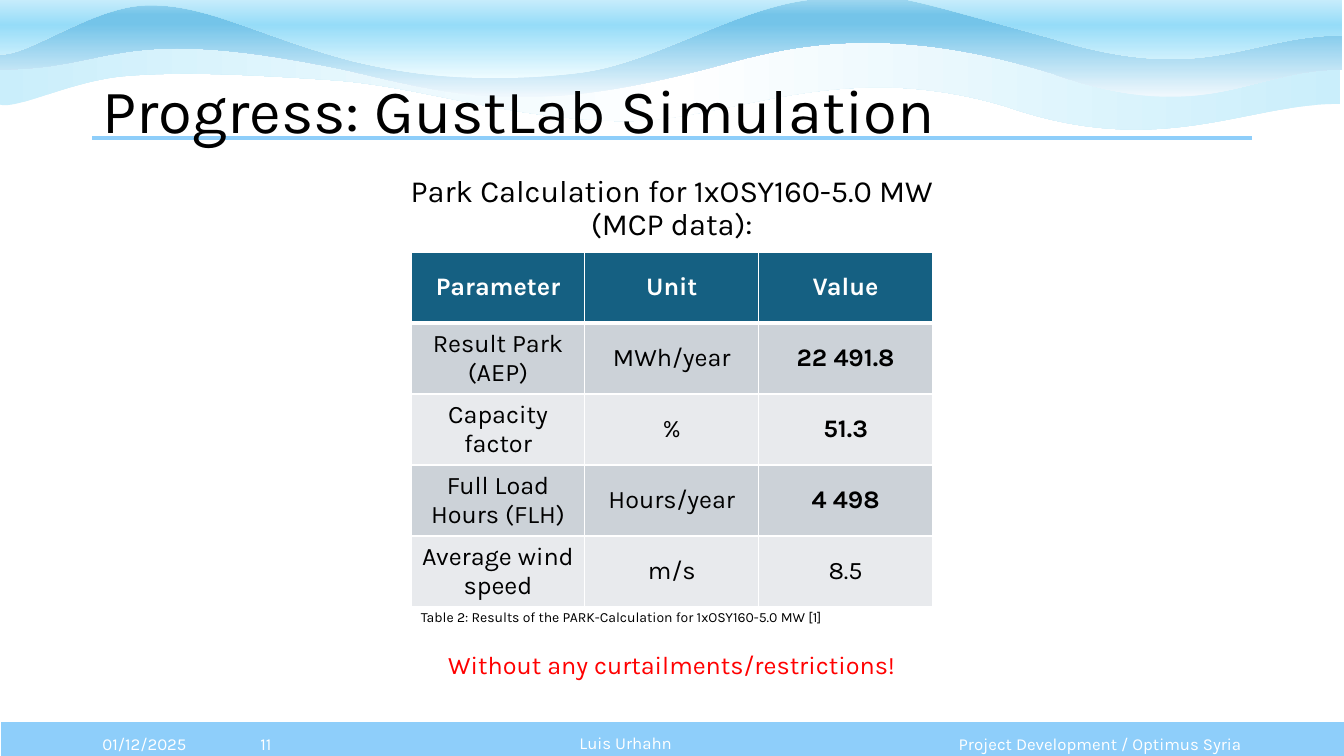
from dataclasses import dataclass

from lxml import etree
from pptx import Presentation
from pptx import util as u
from pptx.dml.color import RGBColor
from pptx.enum import shapes, text
from pptx.oxml import ns

FONT = "Karla"
WHITE = RGBColor(0xFF, 0xFF, 0xFF)
BLACK = RGBColor(0x00, 0x00, 0x00)
RED = RGBColor(0xFF, 0x00, 0x00)
SKY = RGBColor(0x8E, 0xCE, 0xFA)
HEADER_BLUE = RGBColor(0x15, 0x60, 0x82)
ROW_DARK = RGBColor(0xCC, 0xD2, 0xD8)
ROW_LIGHT = RGBColor(0xE8, 0xEA, 0xED)

LEFT, CENTER, RIGHT = text.PP_ALIGN.LEFT, text.PP_ALIGN.CENTER, text.PP_ALIGN.RIGHT
TOP, MIDDLE = text.MSO_ANCHOR.TOP, text.MSO_ANCHOR.MIDDLE


@dataclass(frozen=True)
class Wave:
    """A band from a flat top edge to a chain of Bezier curves, in cm."""
    top: float
    bottom: float
    curve: list[tuple[float, float]]
    stops: list[tuple[int, str]]
    angle: int


@dataclass(frozen=True)
class Label:
    content: str
    left: float
    top: float
    width: float
    height: float
    size: int
    color: RGBColor = WHITE
    align: text.PP_ALIGN = CENTER
    anchor: text.MSO_ANCHOR = MIDDLE
    line_spacing: float = 1.0


WAVES = [
    Wave(0.76, 3.25, [
        (33.78, 2.62), (31.42, 2.59), (29.26, 4.04), (25.37, 2.69),
        (21.01, 1.37), (18.31, 3.15), (15.49, 3.05),
        (12.67, 2.95), (10.69, 2.21), (8.51, 2.03),
        (6.32, 1.88), (4.65, 1.8), (3.23, 1.91),
        (1.8, 2.01), (0.36, 2.82), (-0.05, 2.62),
    ], [(0, "CAEEFB"), (50, "FFFFFF"), (100, "CAEEFB")], 0),
    Wave(-0.05, 2.44, [
        (33.83, 1.75), (31.47, 1.75), (30.38, 3.23), (26.52, 1.85),
        (22.12, 0.48), (19.63, 1.24), (17.93, 1.7),
        (13.41, 2.9), (11.66, 2.46), (8.79, 1.78),
        (2.87, 0.53), (2.92, 1.75), (0, 1.75),
    ], [(0, "F0F8FD"), (74, "74C4E9"), (83, "74C4E9"), (100, "A2D8F0")], 90),
    Wave(-0.71, 1.98, [
        (33.83, 0.89), (31.47, 0.89), (30.38, 2.18), (26.52, 0.97),
        (22.15, -0.23), (22.63, -0.18), (20.65, -0.03),
        (18.67, 0.1), (16.59, 1.57), (14.63, 1.83),
        (12.65, 2.08), (10.77, 2.01), (8.81, 1.52),
        (6.55, 0.91), (5.26, 0.13), (3.81, 0.13),
        (2.34, 0.1), (0.56, 1.55), (-0.08, 1.35),
    ], [(0, "EFFCFF"), (50, "96DCF8"), (100, "FFFFFF")], 90),
]

LABELS = [
    Label("01/12/2025", 2.33, 18.24, 3.1, 1.02, 12, align=LEFT),
    Label("Project Development / Optimus Syria", 23.54, 18.24, 8, 1.02, 12, align=RIGHT),
    Label("11", 5.41, 18.24, 2.59, 1.02, 12),
    Label("Luis Urhahn", 8, 18.24, 15.54, 1.02, 12, line_spacing=0.9),
    Label("Park Calculation for 1xOSY160-5.0 MW (MCP data):",
          9.63, 4.31, 14.6, 12.47, 22, BLACK, anchor=TOP, line_spacing=0.9),
    Label("Without any curtailments/restrictions!",
          8.43, 16.24, 17, 1.02, 18, RED, anchor=TOP),
    Label("Table 2: Results of the PARK-Calculation for 1xOSY160-5.0 MW [1]",
          10.36, 15.21, 10.95, 0.69, 10, BLACK, LEFT, TOP),
]

RESULTS = [
    ("Parameter", "Unit", "Value"),
    ("Result Park (AEP)", "MWh/year", "22 491.8"),
    ("Capacity factor", "%", "51.3"),
    ("Full Load Hours (FLH)", "Hours/year", "4 498"),
    ("Average wind speed", "m/s", "8.5"),
]
BOLD_VALUES = {"22 491.8", "51.3", "4 498"}


def format_text(frame, content: str, size: int, color: RGBColor, align: text.PP_ALIGN,
                line_spacing: float = 1.0, bold: bool = False) -> None:
    frame.text = content
    paragraph = frame.paragraphs[0]
    paragraph.alignment = align
    paragraph.line_spacing = line_spacing
    paragraph.space_before = u.Pt(0)
    font = paragraph.runs[0].font
    font.name, font.size, font.bold = FONT, u.Pt(size), bold
    font.color.rgb = color


def draw_wave(slide, wave: Wave) -> None:
    start, end = wave.curve[0], wave.curve[-1]
    # Bounding box of the band
    builder = slide.shapes.build_freeform(u.Cm(start[0]), u.Cm(wave.top))
    box = [(start[0], wave.bottom), (end[0], wave.bottom), (end[0], wave.top)]
    builder.add_line_segments([(u.Cm(x), u.Cm(y)) for x, y in box], close=True)
    band = builder.convert_to_shape()
    band.shadow.inherit = False
    band.line.fill.background()

    # Curved outline inside that box
    outline = band.element.spPr.find(".//" + ns.qn("a:path"))
    for segment in list(outline):
        outline.remove(segment)

    def add_segment(tag: str, points: list[tuple[float, float]]) -> None:
        segment = etree.SubElement(outline, ns.qn(tag))
        for x, y in points:
            etree.SubElement(segment, ns.qn("a:pt"),
                             x=str(u.Cm(x) - band.left), y=str(u.Cm(y) - band.top))

    add_segment("a:moveTo", [start])
    for i in range(1, len(wave.curve), 3):
        add_segment("a:cubicBezTo", wave.curve[i:i + 3])
    for x in (end[0], start[0]):
        add_segment("a:lnTo", [(x, wave.top)])
    add_segment("a:close", [])

    # Gradient stops
    band.fill.gradient()
    band.fill.gradient_angle = wave.angle
    stop_list = band.element.spPr.find(".//" + ns.qn("a:gsLst"))
    for preset in list(stop_list):
        stop_list.remove(preset)
    for position, color in wave.stops:
        stop = etree.SubElement(stop_list, ns.qn("a:gs"), pos=str(position * 1000))
        etree.SubElement(stop, ns.qn("a:srgbClr"), val=color)


def draw_label(slide, label: Label) -> None:
    box = slide.shapes.add_textbox(u.Cm(label.left), u.Cm(label.top),
                                   u.Cm(label.width), u.Cm(label.height))
    frame = box.text_frame
    frame.word_wrap = True
    frame.vertical_anchor = label.anchor
    format_text(frame, label.content, label.size, label.color, label.align, label.line_spacing)


def set_borders(cell, top: int, bottom: int) -> None:
    properties = cell._tc.get_or_add_tcPr()
    for side, width in (("L", 1), ("R", 1), ("T", top), ("B", bottom)):
        border = etree.SubElement(properties, ns.qn(f"a:ln{side}"), w=str(u.Pt(width)))
        fill = etree.SubElement(border, ns.qn("a:solidFill"))
        etree.SubElement(fill, ns.qn("a:srgbClr"), val=str(WHITE))


def draw_results(slide) -> None:
    table = slide.shapes.add_table(len(RESULTS), len(RESULTS[0]), u.Cm(10.36), u.Cm(6.35),
                                   u.Cm(13.14), u.Cm(8.95)).table
    for r, row in enumerate(RESULTS):
        header = r == 0
        fill = HEADER_BLUE if header else ROW_DARK if r % 2 else ROW_LIGHT
        for c, content in enumerate(row):
            cell = table.cell(r, c)
            cell.vertical_anchor = MIDDLE
            set_borders(cell, top=3 if r == 1 else 1, bottom=3 if header else 1)
            cell.fill.solid()
            cell.fill.fore_color.rgb = fill
            format_text(cell.text_frame, content, 18, WHITE if header else BLACK, CENTER,
                        bold=header or content in BOLD_VALUES)


def main() -> None:
    deck = Presentation()
    deck.slide_width, deck.slide_height = u.Cm(33.87), u.Cm(19.05)
    slide = deck.slides.add_slide(deck.slide_layouts[5])

    # Footer bar and waves
    footer = slide.shapes.add_shape(shapes.MSO_SHAPE.RECTANGLE,
                                    u.Cm(0), u.Cm(18.16), u.Cm(33.91), u.Cm(1.02))
    footer.shadow.inherit = False
    footer.fill.solid()
    footer.fill.fore_color.rgb = SKY
    footer.line.color.rgb = WHITE
    footer.line.width = u.Pt(1.5)
    for wave in WAVES:
        draw_wave(slide, wave)

    # Title rule
    rule = slide.shapes.add_connector(shapes.MSO_CONNECTOR.STRAIGHT,
                                      u.Cm(2.33), u.Cm(3.48), u.Cm(31.55), u.Cm(3.48))
    rule.line.color.rgb = SKY
    rule.line.width = u.Pt(3)
    etree.SubElement(rule.element.spPr, ns.qn("a:effectLst"))

    # Title, brought in front of the waves
    title = slide.shapes.title
    title.left, title.top, title.width, title.height = map(u.Cm, (2.33, 1.02, 29.21, 3.68))
    title.text_frame.vertical_anchor = MIDDLE
    format_text(title.text_frame, "Progress: GustLab Simulation", 44, BLACK, LEFT, 0.9)
    title.element.getparent().append(title.element)

    # Table and texts
    draw_results(slide)
    for label in LABELS:
        draw_label(slide, label)

    deck.save("out.pptx")


if __name__ == "__main__":
    main()
